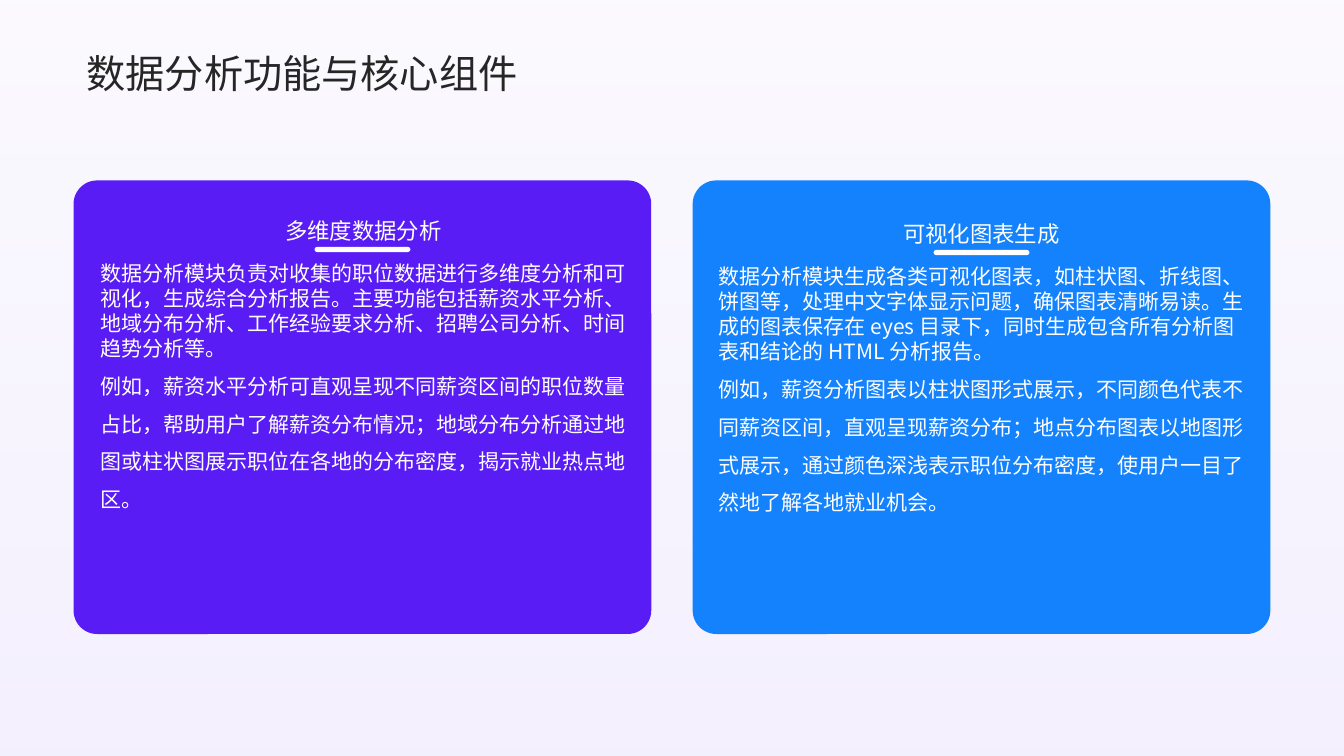
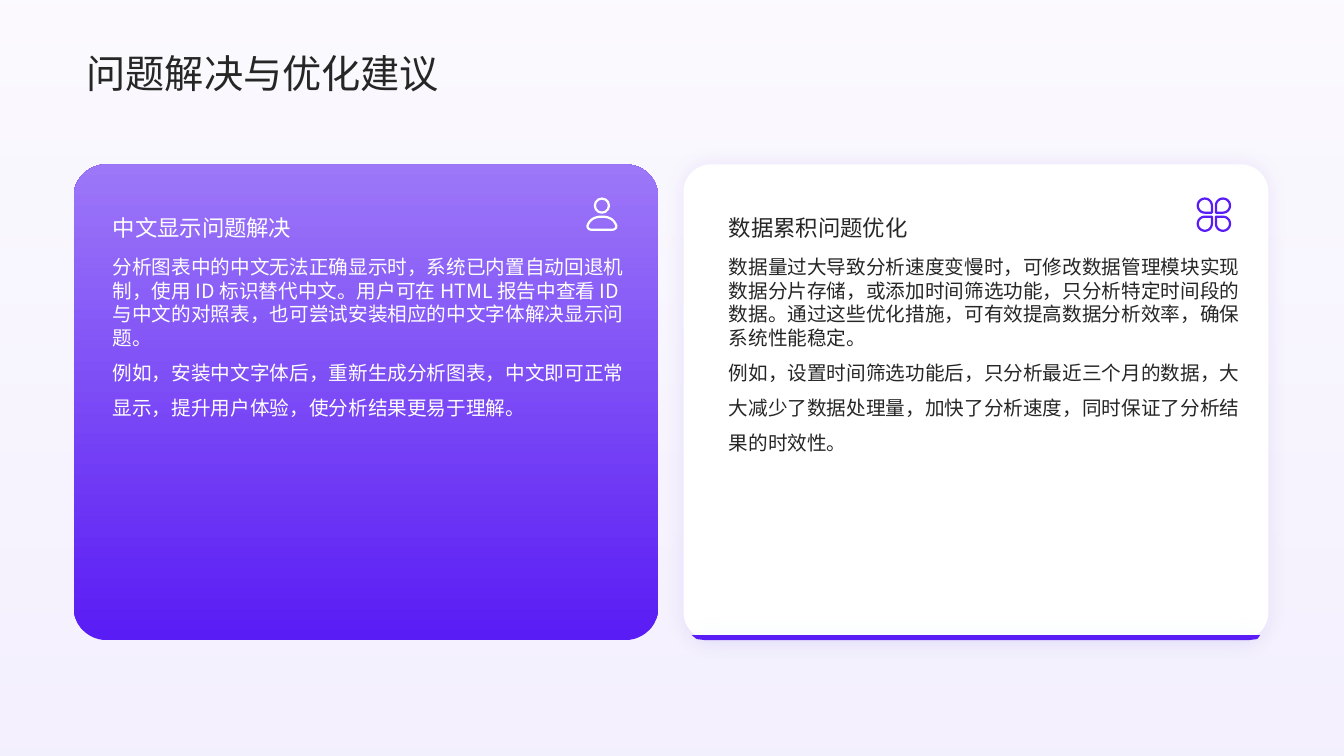
from dataclasses import dataclass
from itertools import product
from math import cos, radians, sin

from lxml import etree
from pptx import Presentation
from pptx.dml.color import RGBColor
from pptx.enum.shapes import MSO_SHAPE
from pptx.enum.text import MSO_ANCHOR, MSO_AUTO_SIZE, PP_ALIGN
from pptx.oxml.ns import qn
from pptx.util import Inches, Pt

RECT, ROUND, OVAL = MSO_SHAPE.RECTANGLE, MSO_SHAPE.ROUNDED_RECTANGLE, MSO_SHAPE.OVAL
TOP, MIDDLE, BOTTOM = MSO_ANCHOR.TOP, MSO_ANCHOR.MIDDLE, MSO_ANCHOR.BOTTOM
LEFT, CENTER = PP_ALIGN.LEFT, PP_ALIGN.CENTER
NO_FIT = MSO_AUTO_SIZE.NONE

FONT = "Noto Sans CJK SC"
COLORS = {
    "ink": "262626",
    "white": "FFFFFF",
    "violet": "5A1CF4",
    "lilac": "9C77F8",
    "blue": "1482FC",
    "shade": "3F09C3",
    "mist": "DED2FD",
}


@dataclass
class Box:
    x: float
    y: float
    w: float
    h: float

    def emu(self) -> tuple:
        return tuple(Inches(v) for v in (self.x, self.y, self.w, self.h))


@dataclass
class Style:
    size: float
    color: str
    align: int = LEFT
    anchor: int = TOP
    inset: bool = False
    wrap: bool = True


@dataclass
class Card:
    head: str
    lead: str
    case: str
    fill: str
    ink: str = "white"
    drop: float = 0


PAGE = Box(0, 0, 13.33, 7.5)


def rgb(name: str) -> RGBColor:
    return RGBColor.from_string(COLORS[name])


def veil(color, alpha: int) -> None:
    """Give a colour element an opacity in percent."""
    etree.SubElement(color, qn("a:alpha"), val=str(alpha * 1000))


def fade(shape, low: str, high: str, alphas: tuple = ()) -> None:
    """Vertical gradient from the low colour up to the high one."""
    fill = shape.fill
    fill.gradient()
    fill.gradient_angle = 90
    for stop, name in zip(fill.gradient_stops, (low, high)):
        stop.color.rgb = rgb(name)
    colors = shape._element.spPr.iter(qn("a:srgbClr"))
    for color, alpha in zip(list(colors), alphas):
        veil(color, alpha)


def paint(shape, fill: str = "", line: str = "", width: float = 1.6) -> None:
    shape.shadow.inherit = False
    if fill:
        shape.fill.solid()
        shape.fill.fore_color.rgb = rgb(fill)
    else:
        shape.fill.background()
    if line:
        shape.line.color.rgb = rgb(line)
        shape.line.width = Pt(width)
    else:
        shape.line.fill.background()


def glow(shape, name: str, alpha: int) -> None:
    """Soft shadow with no offset, alpha in percent."""
    effects = shape._element.spPr.find(qn("a:effectLst"))
    outer = etree.SubElement(effects, qn("a:outerShdw"), blurRad=str(Pt(15)),
                             dist="0", dir="0", algn="ctr", rotWithShape="0")
    veil(etree.SubElement(outer, qn("a:srgbClr"), val=COLORS[name]), alpha)


def add(slide, kind, box: Box, fill: str = "", line: str = ""):
    shape = slide.shapes.add_shape(kind, *box.emu())
    paint(shape, fill, line)
    return shape


def panel(slide, box: Box, fill: str, bend: float):
    shape = add(slide, ROUND, box, fill)
    shape.adjustments[0] = bend
    return shape


def outline(slide, points: list, fill: str = "", line: str = ""):
    """Closed shape through points given in inches."""
    dots = [(Inches(x), Inches(y)) for x, y in points]
    build = slide.shapes.build_freeform(*dots[0])
    build.add_line_segments(dots[1:], close=True)
    shape = build.convert_to_shape()
    paint(shape, fill, line)
    return shape


def write(shape, style: Style, parts: list) -> None:
    """Fill a shape with (text, line spacing) paragraphs."""
    frame = shape.text_frame
    frame.auto_size = NO_FIT
    frame.word_wrap = style.wrap
    frame.vertical_anchor = style.anchor
    if not style.inset:
        frame.margin_left = frame.margin_right = 0
        frame.margin_top = frame.margin_bottom = 0
    for i, (text, space) in enumerate(parts):
        para = frame.add_paragraph() if i else frame.paragraphs[0]
        para.alignment = style.align
        para.line_spacing = space
        run = para.add_run()
        run.text = text
        run.font.size = Pt(style.size)
        run.font.bold = False
        run.font.color.rgb = rgb(style.color)
        run.font.name = FONT
        etree.SubElement(run.font._element, qn("a:ea"), typeface=FONT)


def label(slide, box: Box, style: Style, parts: list) -> None:
    write(slide.shapes.add_textbox(*box.emu()), style, parts)


def start(deck, title: str):
    """New slide with the tinted ground behind its title."""
    slide = deck.slides.add_slide(deck.slide_layouts[5])
    shape = slide.shapes.title
    ground = add(slide, RECT, PAGE)
    fade(ground, "mist", "mist", (33, 11))
    shape._element.addprevious(ground._element)
    shape.left, shape.top, shape.width, shape.height = Box(
        0.86, 0.44, 11.67, 0.51).emu()
    write(shape, Style(28, "ink", anchor=MIDDLE), [(title, 1.1)])
    return slide


def bezier(a: tuple, b: tuple, c: tuple, d: tuple, steps: int = 8) -> list:
    def at(t: float) -> tuple:
        u = 1 - t
        return tuple(u**3 * p + 3 * u * u * t * q + 3 * u * t * t * r + t**3 * s
                     for p, q, r, s in zip(a, b, c, d))
    return [at(i / steps) for i in range(steps + 1)]


def person(slide) -> None:
    mid = 5.97
    add(slide, OVAL, Box(mid - 0.07, 1.97, 0.14, 0.14), line="white")
    half = bezier((mid, 2.15), (5.88, 2.15), (5.85, 2.19), (5.83, 2.23))
    half += bezier((5.83, 2.23), (5.82, 2.26), (5.84, 2.28), (5.87, 2.28))[1:]
    twin = [(2 * mid - x, y) for x, y in reversed(half[1:])]
    outline(slide, half + twin, line="white")


def clover(slide) -> None:
    """Four round petals, each with a square corner towards the centre."""
    size = 0.07
    turns = [radians(a) for a in range(90, 361, 15)]
    petal = [(size * cos(a), size * sin(a)) for a in turns] + [(size, size)]
    for h, v in product((-1, 1), repeat=2):
        x, y = 12.04 + 0.09 * h, 2.13 + 0.09 * v
        outline(slide, [(x - h * p, y - v * q) for p, q in petal],
                line="violet")


def features(deck, cards: list) -> None:
    slide = start(deck, "数据分析功能与核心组件")
    for i, card in enumerate(cards):
        x, edge = 0.73 + 6.14 * i, 1 + 6.13 * i
        panel(slide, Box(x, 1.79, 5.73, 4.5), card.fill, 0.052)
        label(slide, Box(edge, 2.58 + card.drop, 5.22, 3.52),
              Style(15, card.ink), [(card.lead, 1.0), (card.case, 1.5)])
        label(slide, Box(edge, 1.91 + card.drop, 5.21, 0.51),
              Style(16, card.ink, CENTER, BOTTOM, wrap=False),
              [(card.head, 1.2)])
        panel(slide, Box(x + 2.39, 2.45 + card.drop, 0.95, 0.05),
              card.ink, 0.5)


def advice(deck, cards: list) -> None:
    slide = start(deck, "问题解决与优化建议")
    left = panel(slide, Box(0.73, 1.63, 5.8, 4.72), cards[0].fill, 0.069)
    fade(left, "violet", "lilac")
    right = panel(slide, Box(6.78, 1.63, 5.8, 4.72), cards[1].fill, 0.058)
    glow(right, "shade", 8)
    strip = outline(slide, [(6.86, 6.3), (12.5, 6.3), (12.47, 6.34),
                            (12.39, 6.35), (6.99, 6.35), (6.91, 6.34)],
                    "violet")
    glow(strip, "blue", 10)
    person(slide)
    clover(slide)
    for i, card in enumerate(cards):
        x = 1.02 + 6.11 * i
        label(slide, Box(x, 2.48, 5.37, 3.6), Style(14, card.ink, inset=True),
              [(card.lead, 1.0), (card.case, 1.5)])
        label(slide, Box(x, 1.69, 4.57, 0.75),
              Style(16, card.ink, anchor=BOTTOM, inset=True),
              [(card.head, 1.1)])


FEATURES = [
    Card("多维度数据分析",
         "数据分析模块负责对收集的职位数据进行多维度分析和可视化，生成综合分析报告。"
         "主要功能包括薪资水平分析、地域分布分析、工作经验要求分析、招聘公司分析、"
         "时间趋势分析等。",
         "例如，薪资水平分析可直观呈现不同薪资区间的职位数量占比，帮助用户了解薪资"
         "分布情况；地域分布分析通过地图或柱状图展示职位在各地的分布密度，揭示就业"
         "热点地区。",
         "violet"),
    Card("可视化图表生成",
         "数据分析模块生成各类可视化图表，如柱状图、折线图、饼图等，处理中文字体显示"
         "问题，确保图表清晰易读。生成的图表保存在 eyes 目录下，同时生成包含所有分析"
         "图表和结论的 HTML 分析报告。",
         "例如，薪资分析图表以柱状图形式展示，不同颜色代表不同薪资区间，直观呈现薪资"
         "分布；地点分布图表以地图形式展示，通过颜色深浅表示职位分布密度，使用户一目"
         "了然地了解各地就业机会。",
         "blue", drop=0.03),
]
ADVICE = [
    Card("中文显示问题解决",
         "分析图表中的中文无法正确显示时，系统已内置自动回退机制，使用 ID 标识替代"
         "中文。用户可在 HTML 报告中查看 ID 与中文的对照表，也可尝试安装相应的中文"
         "字体解决显示问题。",
         "例如，安装中文字体后，重新生成分析图表，中文即可正常显示，提升用户体验，"
         "使分析结果更易于理解。",
         "violet"),
    Card("数据累积问题优化",
         "数据量过大导致分析速度变慢时，可修改数据管理模块实现数据分片存储，或添加"
         "时间筛选功能，只分析特定时间段的数据。通过这些优化措施，可有效提高数据分析"
         "效率，确保系统性能稳定。",
         "例如，设置时间筛选功能后，只分析最近三个月的数据，大大减少了数据处理量，"
         "加快了分析速度，同时保证了分析结果的时效性。",
         "white", "ink"),
]


def main() -> None:
    deck = Presentation()
    deck.slide_width, deck.slide_height = Inches(PAGE.w), Inches(PAGE.h)
    features(deck, FEATURES)
    advice(deck, ADVICE)
    deck.save("out.pptx")


if __name__ == "__main__":
    main()
